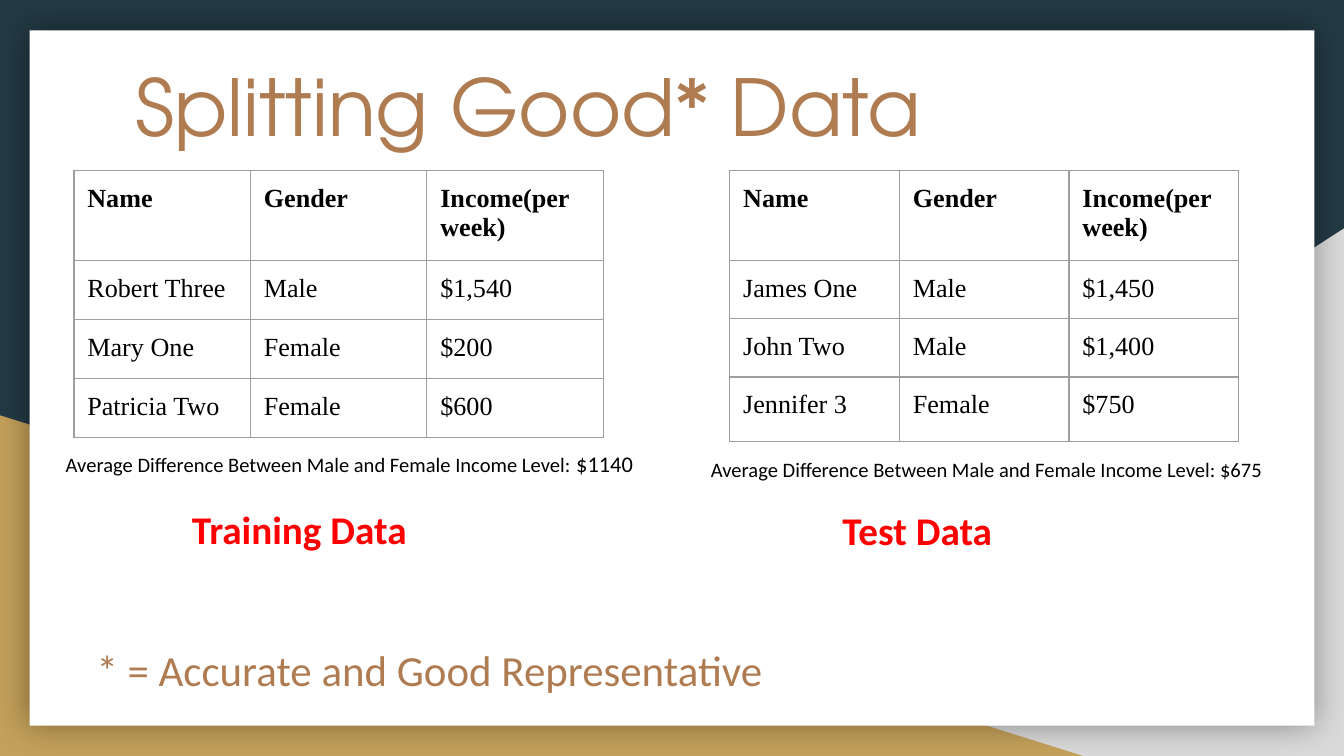
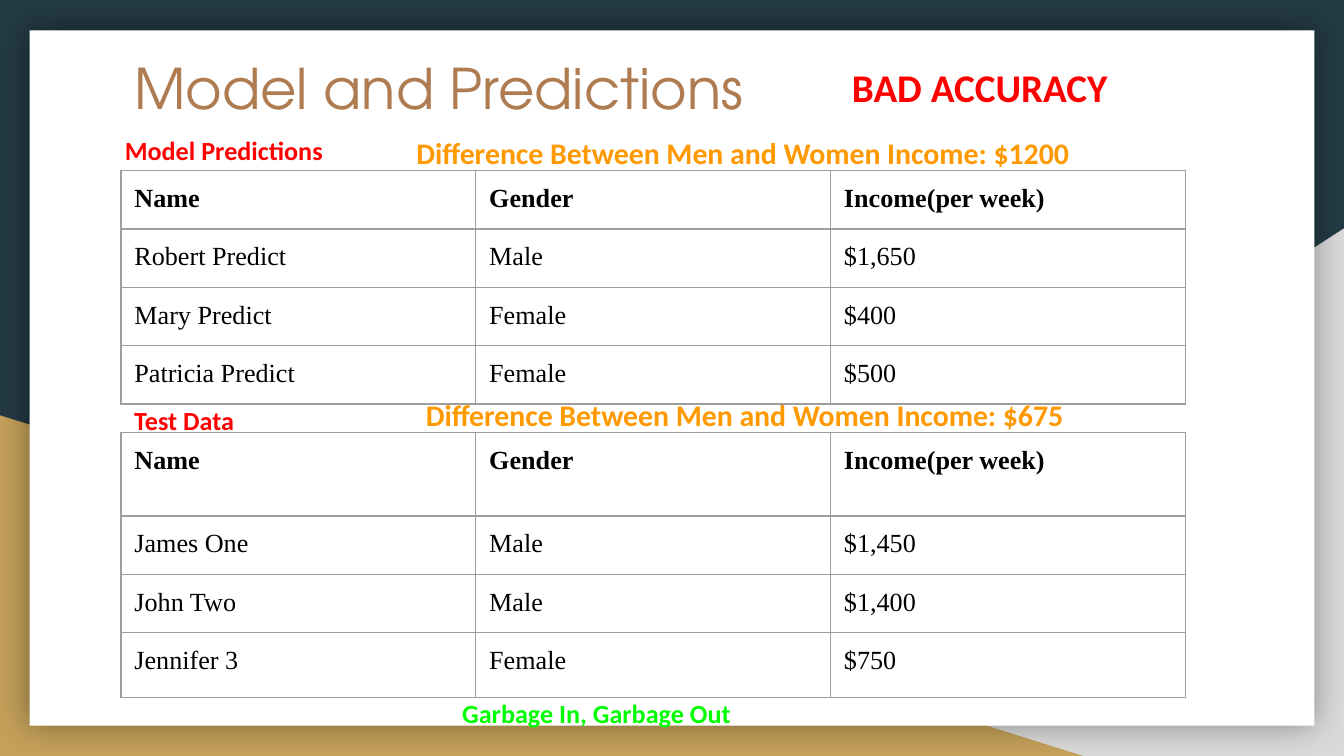
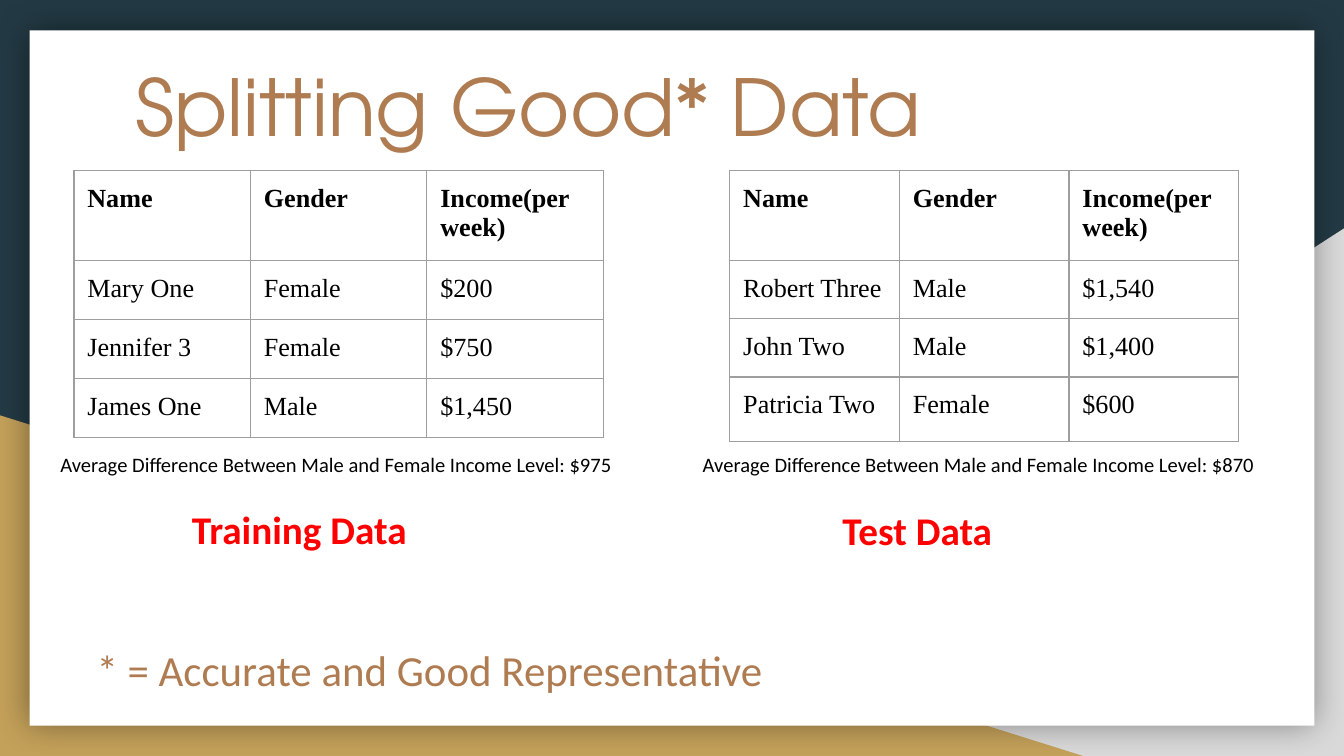
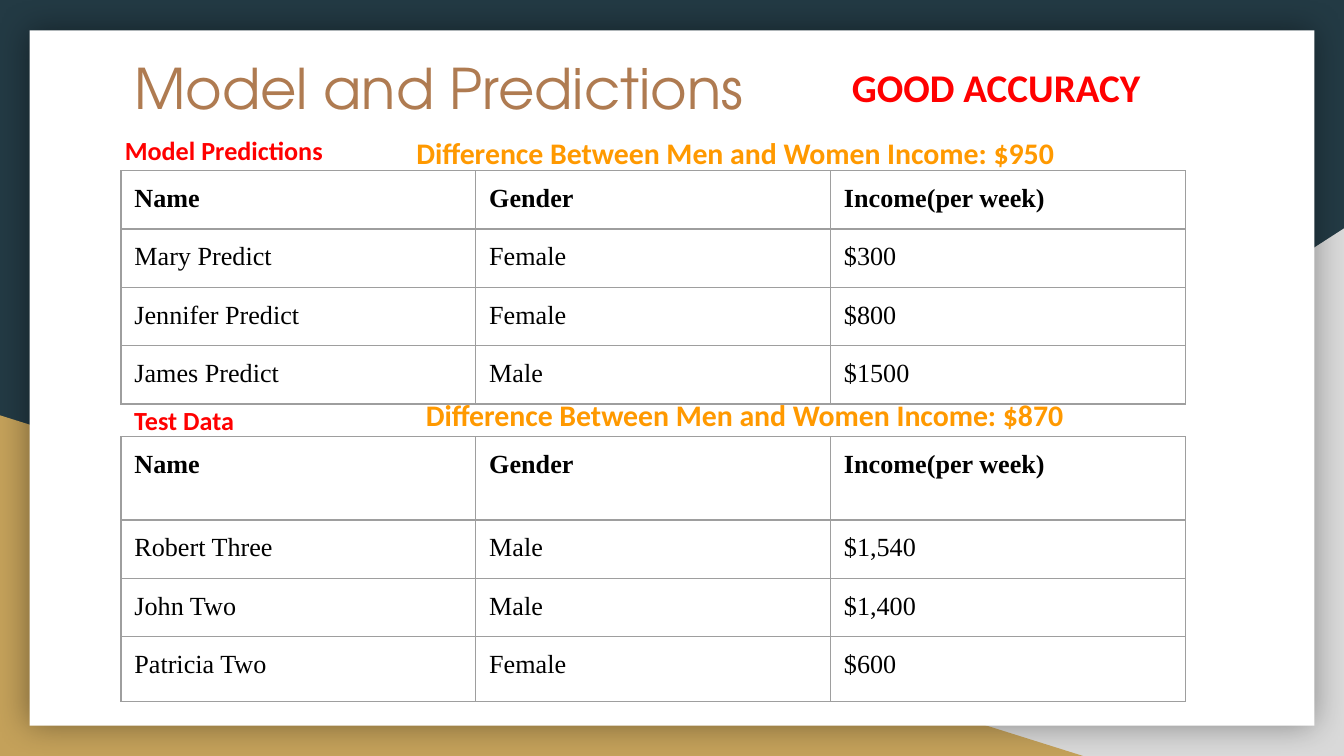
from dataclasses import dataclass
from lxml.etree import SubElement
from pptx import Presentation
from pptx.dml.color import RGBColor
from pptx.enum.shapes import MSO_SHAPE
from pptx.enum.text import MSO_ANCHOR
from pptx.oxml import parse_xml
from pptx.oxml.ns import nsdecls, qn
from pptx.util import Inches, Pt


@dataclass(frozen=True)
class Theme:
    navy: str = "233A44"
    gray: str = "D9D9D9"
    gold: str = "C4A15A"
    paper: str = "FFFFFF"
    brown: str = "AF7B51"
    black: str = "000000"
    red: str = "FF0000"
    orange: str = "FF9900"
    green: str = "00FF00"
    rule: str = "9E9E9E"
    title_font: str = "TeX Gyre Adventor"
    body_font: str = "Calibri"
    table_font: str = "Times New Roman"
    big_title: int = 42
    title: int = 30
    footnote: int = 23
    label: int = 21
    gap: int = 16
    small: int = 14
    amount: int = 12
    note: int = 11
    rule_width: float = 0.75
    shadow_blur: int = 18
    shadow_alpha: int = 40


THEME = Theme()

# ---- Content ----
HEADER = ("Name", "Gender", "Income(per week)")
AVERAGE = "Average Difference Between Male and Female Income Level:"
GAP = "Difference Between Men and Women Income: "

ROBERT = ("Robert Three", "Male", "$1,540")
MARY = ("Mary One", "Female", "$200")
PATRICIA = ("Patricia Two", "Female", "$600")
JAMES = ("James One", "Male", "$1,450")
JOHN = ("John Two", "Male", "$1,400")
JENNIFER = ("Jennifer 3", "Female", "$750")

# Each round is one split slide followed by one prediction slide.
ROUNDS = [
    {
        "training": [ROBERT, MARY, PATRICIA],
        "test": [JAMES, JOHN, JENNIFER],
        "averages": [
            {"at": (3.9, 32.5), "amount": " $1140", "size": THEME.amount},
            {"at": (51.9, 33.1), "amount": " $675", "size": THEME.note},
        ],
        "predictions": [("Robert Predict", "Male", "$1,650"),
                        ("Mary Predict", "Female", "$400"),
                        ("Patricia Predict", "Female", "$500")],
        "gaps": ("$1200", "$675"),
        "test_row": 32.2,
        "verdict": "BAD ACCURACY",
        "moral": "Garbage In, Garbage Out",
    },
    {
        "training": [MARY, JENNIFER, JAMES],
        "test": [ROBERT, JOHN, PATRICIA],
        "averages": [
            {"at": (3.5, 32.7), "amount": " $975", "size": THEME.note},
            {"at": (51.3, 32.7), "amount": " $870", "size": THEME.note},
        ],
        "predictions": [("Mary Predict", "Female", "$300"),
                        ("Jennifer Predict", "Female", "$800"),
                        ("James Predict", "Male", "$1500")],
        "gaps": ("$950", "$870"),
        "test_row": 32.5,
        "verdict": "GOOD ACCURACY",
        "moral": None,
    },
]

# ---- Grid: 100 columns by 56.25 rows of square units ----
WIDTH, HEIGHT = Inches(10), Inches(5.625)
UNIT = WIDTH / 100
LINE_ROWS = 5.3
NOTE_COLUMNS = 45.8
TRAINING_ROWS = [4.4] * 4
PREDICTION_ROWS = [4.16] * 4
TEST_ROWS = [6.2, 4.14, 4.14, 4.8]


def units(*counts):
    return [round(count * UNIT) for count in counts]


def color(code):
    return RGBColor.from_string(code)


def add_run(paragraph, words, size, ink, font, bold=False):
    run = paragraph.add_run()
    run.text = words
    run.font.name, run.font.size, run.font.bold = font, Pt(size), bold
    run.font.color.rgb = color(ink)


def add_text(slide, at, columns, runs, ink, bold=False, font=THEME.body_font):
    """Place one line of (words, size) runs."""
    frame = slide.shapes.add_textbox(*units(*at, columns, LINE_ROWS)).text_frame
    frame.word_wrap = True
    frame.vertical_anchor = MSO_ANCHOR.TOP
    frame.margin_left = frame.margin_right = Inches(0.1)
    frame.margin_top = frame.margin_bottom = Inches(0.1)
    for words, size in runs:
        add_run(frame.paragraphs[0], words, size, ink, font, bold)


def rule_cell(cell):
    """Give a cell four thin borders, which come before its fill."""
    cell.fill.background()
    properties = cell._tc.get_or_add_tcPr()
    for place, side in enumerate("LRTB"):
        properties.insert(place, parse_xml(
            f'<a:ln{side} {nsdecls("a")} w="{Pt(THEME.rule_width)}"><a:solidFill>'
            f'<a:srgbClr val="{THEME.rule}"/></a:solidFill></a:ln{side}>'))


def add_people(slide, at, column, rows, people):
    records = [HEADER, *people]
    total = units(*at, column * len(HEADER), sum(rows))
    table = slide.shapes.add_table(len(records), len(HEADER), *total).table
    table.first_row = table.horz_banding = False
    for table_column in table.columns:
        table_column.width = units(column)[0]
    for r, (record, height) in enumerate(zip(records, rows)):
        table.rows[r].height = units(height)[0]
        for c, words in enumerate(record):
            cell = table.cell(r, c)
            cell.margin_left = cell.margin_right = Inches(0.1)
            cell.margin_top = cell.margin_bottom = Inches(0.1)
            add_run(cell.text_frame.paragraphs[0], words, THEME.small,
                    THEME.black, THEME.table_font, bold=r == 0)
            rule_cell(cell)


def add_panel(slide, preset, box, fill):
    panel = slide.shapes.add_shape(preset, *units(*box))
    panel.shadow.inherit = False
    panel.fill.solid()
    panel.fill.fore_color.rgb = color(fill)
    panel.line.fill.background()
    return panel


def build_backdrop(slide, layout):
    """Draw the shared backdrop, then hand it to the layout."""
    layout.background.fill.solid()
    layout.background.fill.fore_color.rgb = color(THEME.navy)
    for placeholder in list(layout.placeholders):
        placeholder.element.getparent().remove(placeholder.element)

    gray_corner = add_panel(slide, MSO_SHAPE.RIGHT_TRIANGLE,
                            (39.2, 17, 60.8, 39.25), THEME.gray)
    gray_corner.element.spPr.find(qn("a:xfrm")).set("flipH", "1")
    gold_corner = add_panel(slide, MSO_SHAPE.RIGHT_TRIANGLE,
                            (0, 30.9, 80.6, 25.35), THEME.gold)
    sheet = add_panel(slide, MSO_SHAPE.RECTANGLE,
                      (2.2, 2.25, 95.6, 51.75), THEME.paper)
    effects = sheet.element.spPr.find(qn("a:effectLst"))
    shadow = SubElement(effects, qn("a:outerShdw"), dist="0", dir="0",
                        blurRad=str(Pt(THEME.shadow_blur)), algn="ctr", rotWithShape="0")
    ink = SubElement(shadow, qn("a:srgbClr"), val=THEME.black)
    SubElement(ink, qn("a:alpha"), val=str(THEME.shadow_alpha * 1000))

    for part in (gray_corner, gold_corner, sheet):
        layout.shapes.element.append(part.element)


def build_split(slide, content):
    add_text(slide, (6.2, 46.9), 62.7,
             [("* = Accurate and Good Representative", THEME.footnote)], THEME.brown)
    add_people(slide, (5.5, 12.7), 13.13, TRAINING_ROWS, content["training"])
    add_people(slide, (54.3, 12.7), 12.62, TEST_ROWS, content["test"])
    add_text(slide, (9.1, 3.3), 85.6, [("Splitting Good* Data", THEME.big_title)],
             THEME.brown, font=THEME.title_font)
    for label, at in (("Training Data", (13.3, 36.6)), ("Test Data", (61.7, 36.7))):
        add_text(slide, at, 27.1, [(label, THEME.label)], THEME.red, bold=True)
    for average in content["averages"]:
        add_text(slide, average["at"], NOTE_COLUMNS,
                 [(AVERAGE, THEME.note), (average["amount"], average["size"])],
                 THEME.black)


def build_predictions(slide, content):
    add_text(slide, (9, 3), 82.1, [("Model and Predictions", THEME.title)],
             THEME.brown, font=THEME.title_font)
    add_people(slide, (9, 12.7), 26.4, PREDICTION_ROWS, content["predictions"])
    add_people(slide, (9, content["test_row"]), 26.4, TEST_ROWS, content["test"])

    # Labels above the tables, the verdict and the moral
    predicted_gap, test_gap = (GAP + amount for amount in content["gaps"])
    labels = [
        ("Model Predictions", (8.3, 9), NOTE_COLUMNS, THEME.small, THEME.red),
        ("Test Data", (9, 29.1), NOTE_COLUMNS, THEME.small, THEME.red),
        (predicted_gap, (30, 9), 57.1, THEME.gap, THEME.orange),
        (test_gap, (30.7, 28.5), 52.7, THEME.gap, THEME.orange),
        (content["verdict"], (62.4, 3.7), NOTE_COLUMNS, THEME.label, THEME.red),
    ]
    if content["moral"]:
        labels.append((content["moral"], (33.4, 50.9), NOTE_COLUMNS,
                       THEME.small, THEME.green))
    for words, at, columns, size, ink in labels:
        add_text(slide, at, columns, [(words, size)], ink, bold=True)


# ---- Build ----
deck = Presentation()
deck.slide_width, deck.slide_height = WIDTH, HEIGHT
blank = deck.slide_layouts[6]
for number, content in enumerate(ROUNDS):
    split = deck.slides.add_slide(blank)
    if number == 0:
        build_backdrop(split, blank)
    build_split(split, content)
    build_predictions(deck.slides.add_slide(blank), content)
deck.save("out.pptx")
